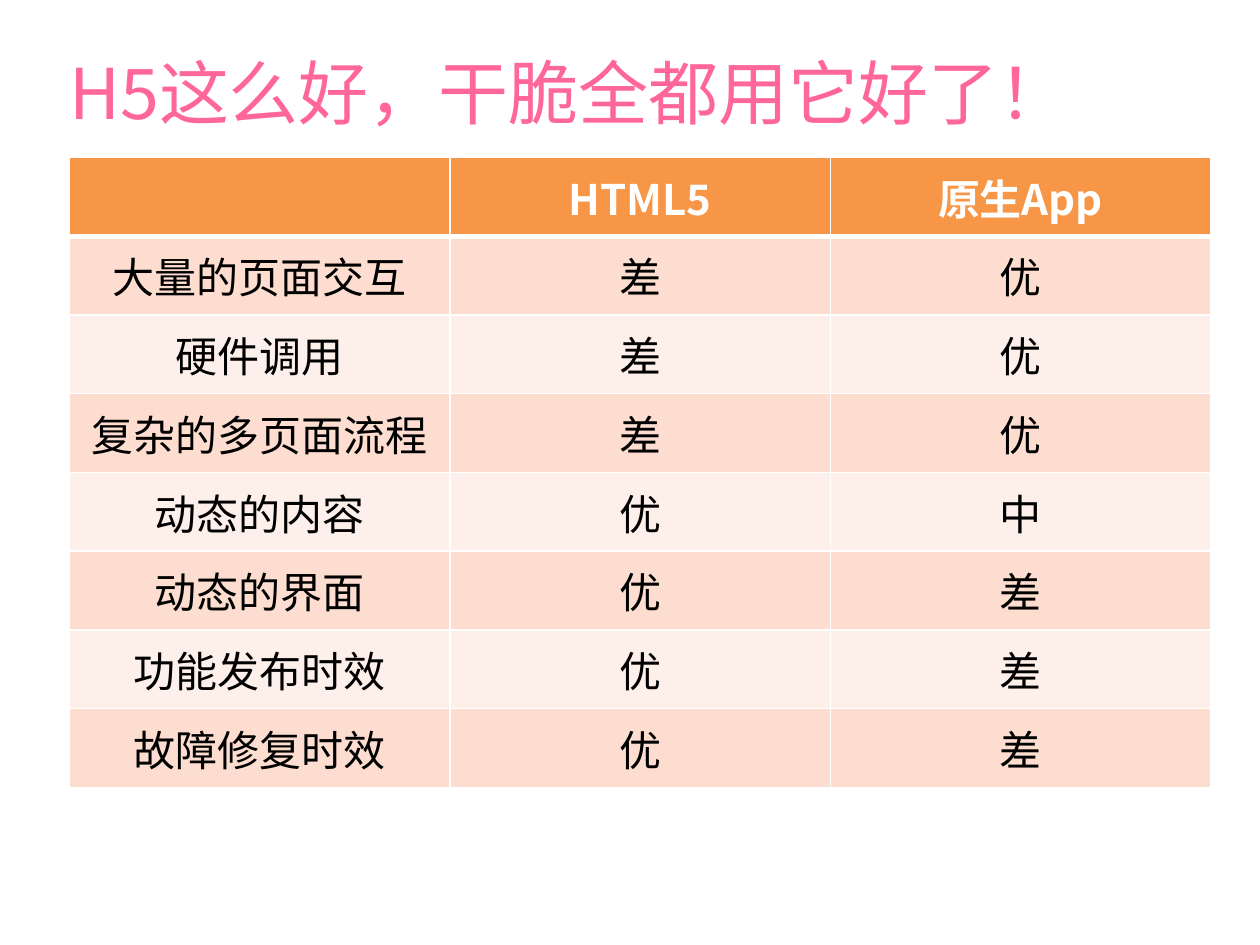
from dataclasses import dataclass

import pptx
import pptx.dml.color
import pptx.enum.text
import pptx.oxml
import pptx.oxml.ns
import pptx.util
from pptx.dml.color import RGBColor
from pptx.enum.text import MSO_ANCHOR, MSO_AUTO_SIZE, PP_ALIGN
from pptx.util import Inches

FONT = "Noto Sans CJK SC"
PINK = RGBColor(0xFF, 0x66, 0x99)
ORANGE = RGBColor(0xF7, 0x96, 0x46)
BAND_DARK = RGBColor(0xFC, 0xDD, 0xCF)
BAND_LIGHT = RGBColor(0xFD, 0xEF, 0xE9)
WHITE = RGBColor(0xFF, 0xFF, 0xFF)
BLACK = RGBColor(0, 0, 0)


@dataclass
class Comparison:
    aspect: str
    html5: str
    native: str


HEADER = Comparison("", "HTML5", "原生App")
COMPARISONS = [
    Comparison("大量的页面交互", "差", "优"),
    Comparison("硬件调用", "差", "优"),
    Comparison("复杂的多页面流程", "差", "优"),
    Comparison("动态的内容", "优", "中"),
    Comparison("动态的界面", "优", "差"),
    Comparison("功能发布时效", "优", "差"),
    Comparison("故障修复时效", "优", "差"),
]


def write_text(tf, text: str, *, size: float, color: RGBColor,
               bold: bool = False, align=PP_ALIGN.CENTER) -> None:
    p = tf.paragraphs[0]
    p.alignment = align
    if not text:
        return
    r = p.add_run()
    r.text = text
    r.font.name = FONT
    r.font.size = pptx.util.Pt(size)
    r.font.bold = bold
    r.font.color.rgb = color
    ea = pptx.oxml.parse_xml(
        f'<a:ea {pptx.oxml.ns.nsdecls("a")} typeface="{FONT}"/>')
    r.font._element.append(ea)


def set_borders(cell, *, top: float = 1, bottom: float = 1) -> None:
    """Draw white cell borders, with widths in points."""
    tc_pr = cell._tc.get_or_add_tcPr()
    widths = {"lnL": 1, "lnR": 1, "lnT": top, "lnB": bottom}
    for i, (side, width) in enumerate(widths.items()):
        tc_pr.insert(i, pptx.oxml.parse_xml(
            f'<a:{side} {pptx.oxml.ns.nsdecls("a")} w="{pptx.util.Pt(width)}">'
            f'<a:solidFill><a:srgbClr val="{WHITE}"/></a:solidFill></a:{side}>'))


def add_title(slide, text: str) -> None:
    sp = slide.shapes.title
    sp.left, sp.top = Inches(0.5), Inches(0)
    sp.width, sp.height = Inches(9), Inches(1.45)
    tf = sp.text_frame
    tf.margin_left = tf.margin_right = Inches(0.05)
    tf.margin_top = tf.margin_bottom = Inches(0.05)
    tf.vertical_anchor = MSO_ANCHOR.MIDDLE
    tf.auto_size = MSO_AUTO_SIZE.NONE
    tf.word_wrap = True
    write_text(tf, text, size=40, color=PINK, align=PP_ALIGN.LEFT)


def add_comparison_table(slide, rows: list[Comparison]) -> None:
    """Draw the rows, the first one as the header."""
    table = slide.shapes.add_table(
        len(rows), 3, Inches(0.55), Inches(1.25), Inches(9.06), Inches(5)).table
    for i, row in enumerate(rows):
        header = i == 0
        fill = ORANGE if header else BAND_DARK if i % 2 else BAND_LIGHT
        for j, text in enumerate((row.aspect, row.html5, row.native)):
            cell = table.cell(i, j)
            cell.vertical_anchor = MSO_ANCHOR.MIDDLE
            cell.fill.solid()
            cell.fill.fore_color.rgb = fill
            set_borders(cell, top=3 if i == 1 else 1, bottom=3 if header else 1)
            write_text(cell.text_frame, text, size=24, bold=header,
                       color=WHITE if header else BLACK)


def main() -> None:
    prs = pptx.Presentation()
    prs.slide_width, prs.slide_height = Inches(10), Inches(7.5)
    slide = prs.slides.add_slide(prs.slide_layouts.get_by_name("Title Only"))
    add_title(slide, "H5这么好，干脆全都用它好了！")
    add_comparison_table(slide, [HEADER, *COMPARISONS])
    prs.save("out.pptx")


if __name__ == "__main__":
    main()
